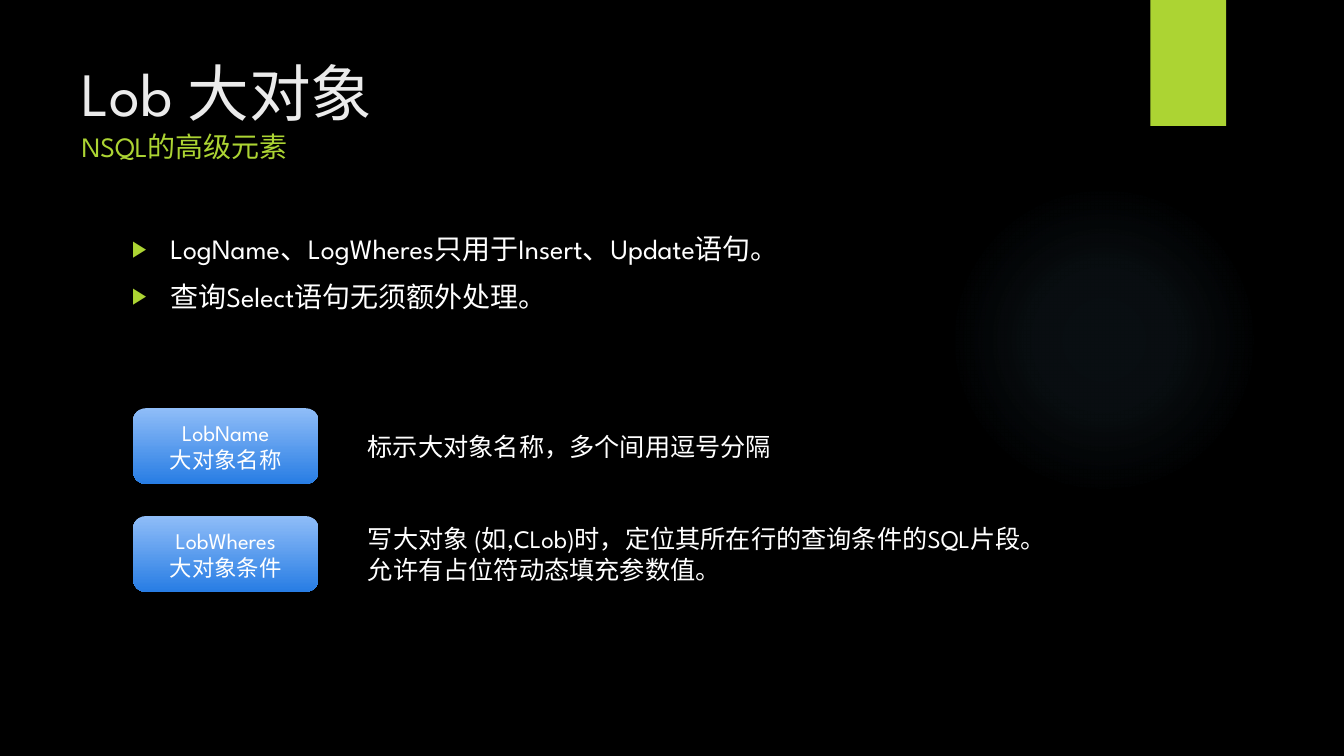
from lxml.etree import SubElement
from pptx import Presentation
from pptx.dml.color import RGBColor
from pptx.enum.shapes import MSO_SHAPE
from pptx.enum.text import MSO_ANCHOR, MSO_AUTO_SIZE, PP_ALIGN
from pptx.oxml.ns import qn
from pptx.util import Inches, Pt

SLIDE_W, SLIDE_H = Inches(13.33), Inches(7.5)
COLORS = {
    "background": "000000", "accent": "ACD433", "title": "EBEBEB",
    "text": "FFFFFF", "glow": "7AC4F0",
    "pill_top": "8FBDF8", "pill_bottom": "287DE4",
}
BODY_FONT, CJK_FONT = "League Spartan", "Arial"

# Shares of the slide, in percent
PILL_LEFT, PILL_TOP, PILL_W, PILL_H, PILL_PITCH = 9.9, 54, 13.8, 10, 14.27
NOTE_LEFT, NOTE_LINE, NOTE_PADDING = 26.63, 4.13, 1.2

BULLETS = ["LogName、LogWheres只用于Insert、Update语句。",
           "查询Select语句无须额外处理。"]
TERMS = [
    ("LobName", "大对象名称", 46.95, ["标示大对象名称，多个间用逗号分隔"]),
    ("LobWheres", "大对象条件", 55.8,
     ["写大对象 (如,CLob)时，定位其所在行的查询条件的SQL片段。",
      "允许有占位符动态填充参数值。"]),
]


def rgb(color):
    return RGBColor.from_string(COLORS[color])


def place(left, top, width, height):
    """Turn percent shares of the slide into lengths."""
    return (int(SLIDE_W * left / 100), int(SLIDE_H * top / 100),
            int(SLIDE_W * width / 100), int(SLIDE_H * height / 100))


def style(run, size, color="text", font=BODY_FONT):
    run.font.size = Pt(size)
    run.font.name = font
    run.font.color.rgb = rgb(color)


def add_plain_shape(slide, preset, area):
    shape = slide.shapes.add_shape(preset, *place(*area))
    shape.shadow.inherit = False
    shape.line.fill.background()
    return shape


def set_gradient(shape, stops, radial=False):
    """Fill with (position, color, opacity) stops, all but color in percent."""
    shape.fill.background()
    no_fill = shape.element.spPr.find(qn("a:noFill"))
    gradient = no_fill.makeelement(qn("a:gradFill"), {"rotWithShape": "1"})
    stop_list = SubElement(gradient, qn("a:gsLst"))
    for position, color, opacity in stops:
        stop = SubElement(stop_list, qn("a:gs"), pos=str(position * 1000))
        tint = SubElement(stop, qn("a:srgbClr"), val=COLORS[color])
        SubElement(tint, qn("a:alpha"), val=str(opacity * 1000))
    if radial:
        focus = SubElement(gradient, qn("a:path"), {"path": "circle"})
        SubElement(focus, qn("a:fillToRect"),
                   {side: "50000" for side in "ltrb"})
    else:
        SubElement(gradient, qn("a:lin"), ang="5400000", scaled="0")
    no_fill.getparent().replace(no_fill, gradient)


def add_text(slide, area, lines, size, color="text", anchor=MSO_ANCHOR.TOP):
    frame = slide.shapes.add_textbox(*place(*area)).text_frame
    frame.word_wrap = True
    frame.vertical_anchor = anchor
    frame.auto_size = MSO_AUTO_SIZE.NONE
    frame.text = "\n".join(lines)
    for paragraph in frame.paragraphs:
        for run in paragraph.runs:
            style(run, size, color)
    return frame


def add_bullet(paragraph):
    paragraph.space_before = Pt(10)
    props = paragraph._p.get_or_add_pPr()
    props.set("marL", str(Inches(0.38)))
    props.set("indent", str(-Inches(0.38)))
    SubElement(SubElement(props, qn("a:buClr")), qn("a:srgbClr"),
               val=COLORS["accent"])
    SubElement(props, qn("a:buSzPct"), val="80000")
    SubElement(props, qn("a:buFont"), typeface="Arial")
    SubElement(props, qn("a:buChar"), char="▶")


def add_term(slide, row, name, meaning, note_width, notes):
    top = PILL_TOP + row * PILL_PITCH
    pill = add_plain_shape(slide, MSO_SHAPE.ROUNDED_RECTANGLE,
                           (PILL_LEFT, top, PILL_W, PILL_H))
    set_gradient(pill, [(0, "pill_top", 100), (100, "pill_bottom", 100)])
    frame = pill.text_frame
    frame.text = f"{name}\n{meaning}"
    frame.vertical_anchor = MSO_ANCHOR.MIDDLE
    for paragraph, font in zip(frame.paragraphs, (BODY_FONT, CJK_FONT)):
        paragraph.alignment = PP_ALIGN.CENTER
        style(paragraph.runs[0], 16, font=font)

    # Explanation, centred on its pill
    height = NOTE_PADDING + NOTE_LINE * len(notes)
    add_text(slide, (NOTE_LEFT, top + (PILL_H - height) / 2, note_width, height),
             notes, 18, anchor=MSO_ANCHOR.MIDDLE)


def main():
    deck = Presentation()
    deck.slide_width, deck.slide_height = SLIDE_W, SLIDE_H
    slide = deck.slides.add_slide(deck.slide_layouts[6])
    slide.background.fill.solid()
    slide.background.fill.fore_color.rgb = rgb("background")

    # Backdrop glow and plain corner tab
    glow = add_plain_shape(slide, MSO_SHAPE.OVAL, (70.58, 24.4, 23.1, 41.07))
    set_gradient(glow, [(0, "glow", 7), (36, "glow", 6), (69, "glow", 0),
                        (100, "glow", 0)], radial=True)
    corner_tab = add_plain_shape(slide, MSO_SHAPE.RECTANGLE,
                                 (85.6, 0, 5.63, 16.67))
    corner_tab.fill.solid()
    corner_tab.fill.fore_color.rgb = rgb("accent")

    # Bulleted usage rules
    usage = add_text(slide, (9.08, 30, 73.35, 61.2), BULLETS, 20)
    for paragraph in usage.paragraphs:
        add_bullet(paragraph)

    # Title with its subtitle on a second line
    heading = add_text(slide, (5.33, 6.67, 77.18, 20.4),
                       ["Lob 大对象\vNSQL的高级元素"], 44, "title")
    style(heading.paragraphs[0].runs[1], 20, "accent")

    # Terms with their explanations
    for row, term in enumerate(TERMS):
        add_term(slide, row, *term)

    deck.save("out.pptx")


if __name__ == "__main__":
    main()
